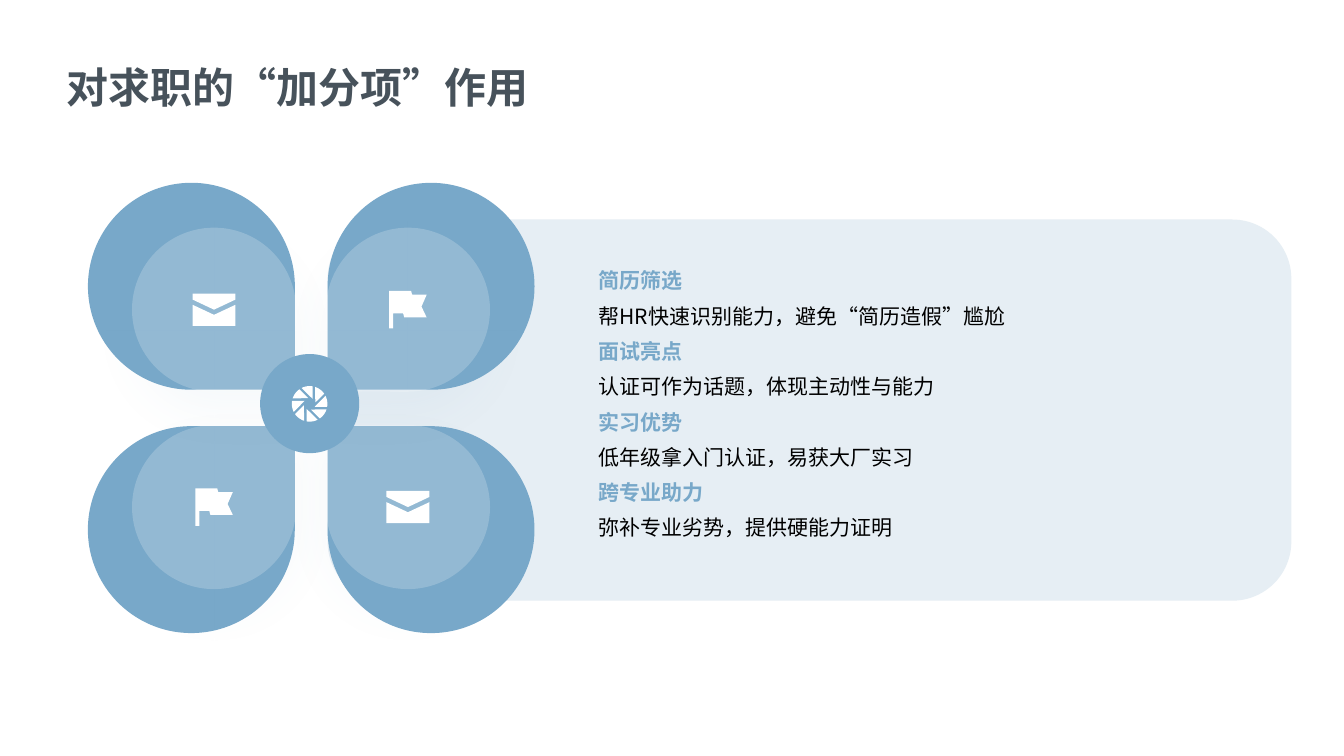
"""Build the slide on how certificates help a job search: a four-petal flower beside a text panel."""
import math

import pptx
import pptx.dml.color
import pptx.enum.shapes
import pptx.enum.text
import pptx.oxml
import pptx.oxml.ns
import pptx.util

Pt = pptx.util.Pt
RGB = pptx.dml.color.RGBColor.from_string
SHAPE = pptx.enum.shapes.MSO_SHAPE
ANCHOR = pptx.enum.text.MSO_ANCHOR
NS = pptx.oxml.ns.nsdecls("a")

THEME = {
    "font": "Noto Sans CJK SC",
    "panel": "E6EEF4",
    "blue": "78A8C9",
    "white": "FFFFFF",
    "title": {"size": Pt(30), "bold": True, "color": "47525B"},
    "heading": {"size": Pt(15), "bold": True, "color": "78A8C9"},
    "body": {"size": Pt(15), "bold": False, "color": "000000"},
}


def paint(sp, color):
    sp.shadow.inherit = False
    sp.fill.solid()
    sp.fill.fore_color.rgb = RGB(color)
    sp.line.fill.background()
    return sp


def add_text(s, box, anchor, lines):
    tf = s.shapes.add_textbox(*map(Pt, box)).text_frame
    frame = {"word_wrap": True, "vertical_anchor": anchor, "margin_left": Pt(10),
             "margin_top": Pt(10), "margin_right": Pt(4.5), "margin_bottom": Pt(10)}
    for name, value in frame.items():
        setattr(tf, name, value)
    for i, (text, style) in enumerate(lines):
        p = tf.add_paragraph() if i else tf.paragraphs[0]
        p.line_spacing = 1.4
        r = p.add_run()
        r.text = text
        for name, value in THEME[style].items():
            if name == "color":
                r.font.color.rgb = RGB(value)
            else:
                setattr(r.font, name, value)
        r.font.name = THEME["font"]
        r._r.get_or_add_rPr().append(
            pptx.oxml.parse_xml(f'<a:ea {NS} typeface="{THEME["font"]}"/>'))


prs = pptx.Presentation()
prs.slide_width, prs.slide_height = Pt(960), Pt(540)
s = prs.slides.add_slide(prs.slide_layouts[6])

panel = paint(s.shapes.add_shape(SHAPE.ROUNDED_RECTANGLE, Pt(234), Pt(156.8), Pt(688.4), Pt(272.3)),
              THEME["panel"])
panel.adjustments[0] = 0.155
add_text(s, (37.4, 20.9, 686.9, 67.7), ANCHOR.MIDDLE, [("对求职的“加分项”作用", "title")])

PETAL, INNER = 147.8, 117.2
rotations = {(0, 1): 0, (0, 0): 90, (1, 1): 270, (1, 0): 180}
for (col, row), rotation in rotations.items():
    x, y = (62.8, 234)[col], (130.6, 304.4)[row]
    petal = paint(s.shapes.add_shape(SHAPE.TEAR, Pt(x), Pt(y), Pt(PETAL), Pt(PETAL)), THEME["blue"])
    petal.rotation = rotation

centers = {}
for (col, row), rotation in rotations.items():
    x, y = (94.3, 232.8)[col], (162.6, 303.6)[row]
    centers[col, row] = x + INNER / 2, y + INNER / 2
    inner = paint(s.shapes.add_shape(SHAPE.TEAR, Pt(x), Pt(y), Pt(INNER), Pt(INNER)), THEME["white"])
    inner.rotation = rotation
    color = inner._element.spPr.find(pptx.oxml.ns.qn("a:solidFill"))[0]
    color.append(pptx.oxml.parse_xml(f'<a:alpha {NS} val="20000"/>'))
    effects = inner._element.spPr.find(pptx.oxml.ns.qn("a:effectLst"))
    effects.append(pptx.oxml.parse_xml(
        f'<a:outerShdw {NS} blurRad="{Pt(30)}" dist="{Pt(15)}" dir="5400000" rotWithShape="0">'
        f'<a:srgbClr val="{THEME["blue"]}"><a:alpha val="30000"/></a:srgbClr></a:outerShdw>'))

paint(s.shapes.add_shape(SHAPE.OVAL, Pt(185.8), Pt(252.9), Pt(70.8), Pt(70.8)), THEME["blue"])

benefits = [
    ("简历筛选", "帮HR快速识别能力，避免“简历造假”尴尬"),
    ("面试亮点", "认证可作为话题，体现主动性与能力"),
    ("实习优势", "低年级拿入门认证，易获大厂实习"),
    ("跨专业助力", "弥补专业劣势，提供硬能力证明"),
]
lines = [line for head, body in benefits for line in ((head, "heading"), (body, "body"))]
add_text(s, (417.6, 174.2, 454.3, 237.6), ANCHOR.TOP, lines)

envelope = [
    [(0, 0), (15.3, -7.2), (15.3, -11.5), (-15.3, -11.5), (-15.3, -7.2)],
    [(0, 3.7), (-15.3, -3.5), (-15.3, 11.5), (15.3, 11.5), (15.3, -3.5)],
]
flag = [[(-3.4, 2.7), (-10.5, 2.7), (-10.5, 13.4), (-13.4, 13.4), (-13.4, -13.4), (2.3, -13.4),
         (3, -10.7), (13.4, -10.7), (9.7, -2.2), (13.4, 5.6), (-2.6, 5.6)]]
aperture = []
for turn in range(0, 360, 45):
    polar = [(4.2, 31)] + [(12.7, angle) for angle in range(-27, 11)]
    aperture.append([(radius * math.cos(math.radians(angle - turn)),
                      radius * math.sin(math.radians(angle - turn))) for radius, angle in polar])

icons = [
    (aperture, (221.2, 288.5)),
    (envelope, centers[0, 0]),
    (envelope, centers[1, 1]),
    (flag, centers[1, 0]),
    (flag, centers[0, 1]),
]
for outlines, (cx, cy) in icons:
    builder = None
    for outline in outlines:
        points = [(Pt(cx + dx), Pt(cy + dy)) for dx, dy in outline]
        if builder is None:
            builder = s.shapes.build_freeform(*points[0])
        else:
            builder.move_to(*points[0])
        builder.add_line_segments(points[1:], close=True)
    paint(builder.convert_to_shape(), THEME["white"])

prs.save("out.pptx")
